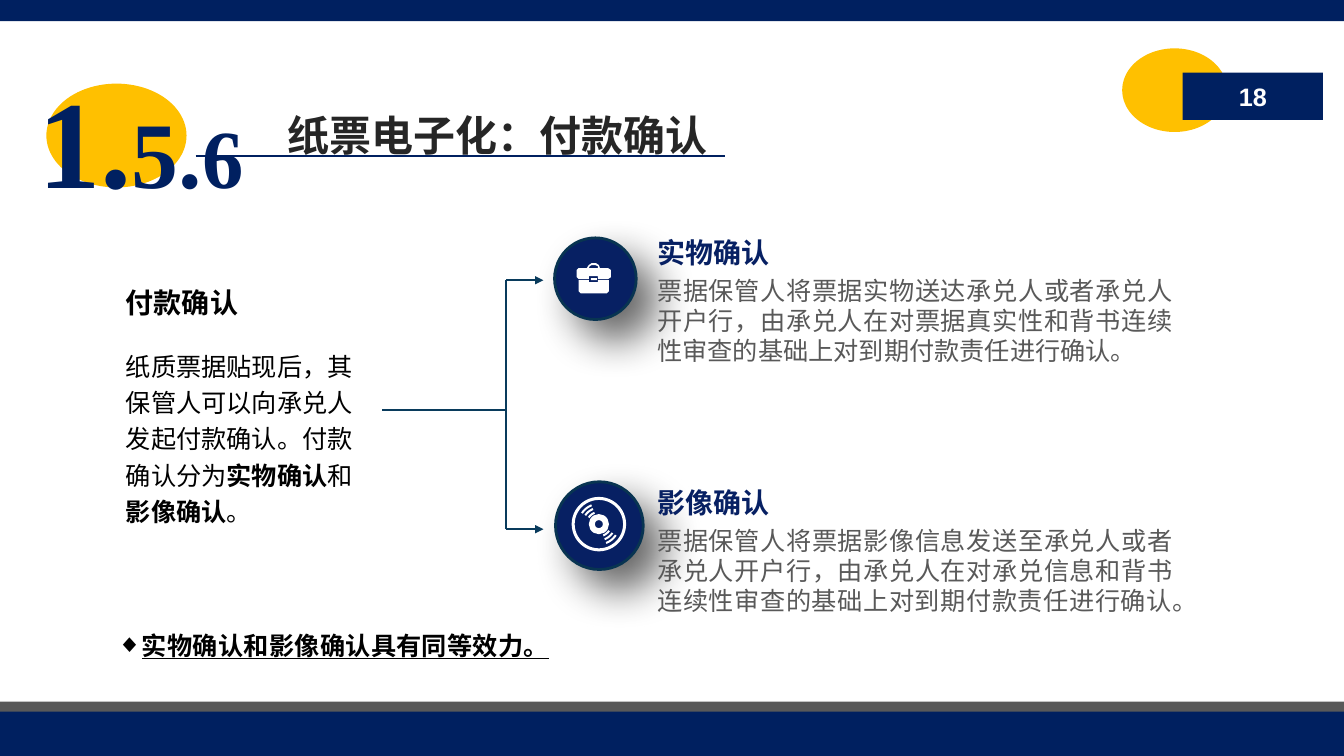
from math import cos, radians, sin

from lxml import etree
from pptx import Presentation
from pptx.dml.color import RGBColor
from pptx.enum.shapes import MSO_CONNECTOR, MSO_SHAPE
from pptx.enum.text import MSO_ANCHOR, MSO_AUTO_SIZE, PP_ALIGN
from pptx.oxml.ns import qn
from pptx.util import Inches, Pt

RECTANGLE, OVAL, DONUT = MSO_SHAPE.RECTANGLE, MSO_SHAPE.OVAL, MSO_SHAPE.DONUT
STRAIGHT = MSO_CONNECTOR.STRAIGHT
TOP, MIDDLE = MSO_ANCHOR.TOP, MSO_ANCHOR.MIDDLE
LEFT, CENTER, JUSTIFY = PP_ALIGN.LEFT, PP_ALIGN.CENTER, PP_ALIGN.JUSTIFY
FIXED_SIZE = MSO_AUTO_SIZE.NONE

CJK, SANS, SERIF = "Noto Sans CJK SC", "Arial", "Times New Roman"
NAVY, DEEP_BLUE, GOLD, GRAY = "002060", "072063", "FFC000", "595959"
WHITE, BLACK, INK, TEAL, RIM = "FFFFFF", "000000", "262626", "093B5C", "083451"


def color(value):
    return RGBColor.from_string(value)


class SlideBuilder:
    """Draws styled elements on the current slide."""

    def __init__(self, slide):
        self.slide = slide

    def paint(self, shape, fill):
        shape.shadow.inherit = False
        shape.fill.solid()
        shape.fill.fore_color.rgb = color(fill)
        shape.line.fill.background()
        return shape

    def shape(self, kind, left, top, width, height, fill):
        box = [Inches(value) for value in (left, top, width, height)]
        return self.paint(self.slide.shapes.add_shape(kind, *box), fill)

    def ring(self, center, radius, thickness):
        x, y = center
        ring = self.shape(DONUT, x - radius, y - radius, 2 * radius, 2 * radius, WHITE)
        ring.adjustments[0] = thickness / (2 * radius)

    def badge(self, left, top, size):
        badge = self.shape(OVAL, left, top, size, size, DEEP_BLUE)
        badge.line.color.rgb = color(RIM)
        badge.line.width = Pt(2)
        effects = badge._element.spPr.find(qn("a:effectLst"))
        shadow = etree.SubElement(effects, qn("a:outerShdw"), blurRad=str(Pt(30)),
                                  dist=str(Pt(20)), dir="2700000", algn="ctr", rotWithShape="0")
        tint = etree.SubElement(shadow, qn("a:srgbClr"), val=BLACK)
        etree.SubElement(tint, qn("a:alpha"), val="60000")

    def outline(self, *contours):
        points = [[(Inches(x), Inches(y)) for x, y in contour] for contour in contours]
        builder = self.slide.shapes.build_freeform(*points[0][0])
        builder.add_line_segments(points[0][1:], close=True)
        for contour in points[1:]:
            builder.move_to(*contour[0])
            builder.add_line_segments(contour[1:], close=True)
        self.paint(builder.convert_to_shape(), WHITE)

    def line(self, start, end, stroke=TEAL, arrow=False):
        ends = [Inches(value) for value in (*start, *end)]
        connector = self.slide.shapes.add_connector(STRAIGHT, *ends)
        connector.line.color.rgb = color(stroke)
        connector.line.width = Pt(1.5)
        properties = connector._element.spPr
        if arrow:
            etree.SubElement(properties.find(qn("a:ln")), qn("a:tailEnd"), type="triangle")
        etree.SubElement(properties, qn("a:effectLst"))

    def fill_text(self, shape, runs, fill, font=CJK, anchor=TOP, align=LEFT, spacing=None):
        frame = shape.text_frame
        frame.word_wrap = True
        frame.auto_size = FIXED_SIZE
        frame.vertical_anchor = anchor
        paragraph = frame.paragraphs[0]
        paragraph.alignment = align
        paragraph.space_before = Pt(0)
        if spacing:
            paragraph.line_spacing = Pt(spacing)
        for text, size, bold in runs:
            run = paragraph.add_run()
            run.text = text
            run.font.size = Pt(size)
            run.font.bold = bold
            run.font.color.rgb = color(fill)
            run.font.name = font
            etree.SubElement(run.font._element, qn("a:ea"), typeface=font)
        return paragraph

    def text(self, left, top, width, height, runs, fill, **style):
        box = [Inches(value) for value in (left, top, width, height)]
        self.fill_text(self.slide.shapes.add_textbox(*box), runs, fill, **style)

    def placeholder(self, index, left, top, width, height, runs, fill, **style):
        shape = self.slide.placeholders[index]
        shape.left, shape.top = Inches(left), Inches(top)
        shape.width, shape.height = Inches(width), Inches(height)
        return self.fill_text(shape, runs, fill, **style)

    def note(self, text):
        paragraph = self.placeholder(1, 1.06, 6.2, 4.6, 0.4, [(text, 18, True)], BLACK,
                                     align=JUSTIFY, spacing=21.5)
        properties = paragraph._p.get_or_add_pPr()
        properties.set("marL", str(Inches(0.24)))
        properties.set("indent", str(-Inches(0.24)))
        etree.SubElement(properties, qn("a:buChar"), char="◆")
        for run in paragraph.runs:
            run.font.underline = True
            run.font._element.set("spc", "20")

    def briefcase(self):
        self.outline([(5.74, 2.78), (5.84, 2.78), (5.84, 2.8), (5.93, 2.8), (5.93, 2.78),
                      (6.04, 2.78), (6.04, 2.89), (6.02, 2.91), (5.76, 2.91), (5.74, 2.89)])
        self.outline([(5.72, 2.68), (5.74, 2.66), (5.82, 2.66), (5.84, 2.63), (5.87, 2.61),
                      (5.91, 2.61), (5.94, 2.63), (5.95, 2.66), (6.03, 2.66), (6.06, 2.68),
                      (6.06, 2.75), (6.03, 2.77), (5.93, 2.77), (5.93, 2.74), (5.84, 2.74),
                      (5.84, 2.77), (5.74, 2.77), (5.72, 2.75)],
                     [(5.84, 2.66), (5.93, 2.66), (5.93, 2.64), (5.9, 2.63), (5.87, 2.63),
                      (5.85, 2.64)])
        self.shape(RECTANGLE, 5.86, 2.76, 0.06, 0.02, WHITE)

    def disc(self, center):
        self.ring(center, 0.27, 0.03)
        self.ring(center, 0.1, 0.06)
        for radius in (0.13, 0.17, 0.21):
            for start in (33, 213):
                sweep = range(start, start + 37, 4)
                edges = [(radius, angle) for angle in sweep]
                edges += [(radius - 0.02, angle) for angle in reversed(sweep)]
                self.outline([(center[0] + reach * cos(radians(angle)),
                               center[1] + reach * sin(radians(angle)))
                              for reach, angle in edges])


def main():
    presentation = Presentation()
    presentation.slide_width, presentation.slide_height = Inches(13.33), Inches(7.5)
    slide = presentation.slides.add_slide(presentation.slide_layouts[1])
    page = SlideBuilder(slide)

    page.shape(RECTANGLE, 0, 0, 13.33, 0.21, NAVY)
    page.shape(RECTANGLE, 0, 6.98, 13.33, 0.52, NAVY)
    page.shape(RECTANGLE, 0, 6.96, 13.33, 0.1, GRAY)

    page.shape(OVAL, 0.46, 0.83, 1.39, 1.03, GOLD)
    page.placeholder(0, 2.75, 1.04, 7.17, 0.61, [("纸票电子化：付款确认", 30, True)], INK,
                     spacing=36)
    page.line((1.94, 1.55), (7.19, 1.55), NAVY)
    page.text(0.28, 0.58, 2.52, 1.62, [("1.", 89, True), ("5.", 67, True), ("6", 59, True)],
              NAVY, font=SERIF)
    page.shape(OVAL, 11.13, 0.48, 1.04, 0.83, GOLD)
    number = page.shape(RECTANGLE, 11.73, 0.72, 1.39, 0.47, NAVY)
    page.fill_text(number, [("18", 18, True)], WHITE, font=SANS, anchor=MIDDLE, align=CENTER)

    page.text(1.15, 2.71, 2.28, 0.58, [("付款确认", 20, True)], BLACK, anchor=MIDDLE, spacing=24)
    page.text(1.15, 3.38, 2.63, 1.92, [
        ("纸质票据贴现后，其保管人可以向承兑人发起付款确认。付款确认分为", 18, False),
        ("实物确认", 18, True), ("和", 18, False), ("影像确认", 18, True), ("。", 18, False),
    ], BLACK, spacing=25.8)

    page.line((3.79, 4.07), (5.02, 4.07))
    page.line((5.02, 5.25), (5.02, 2.78))
    confirmations = [
        (2.78, 2.27, "实物确认", "票据保管人将票据实物送达承兑人或者承兑人开户行，"
         "由承兑人在对票据真实性和背书连续性审查的基础上对到期付款责任进行确认。"),
        (5.25, 4.75, "影像确认", "票据保管人将票据影像信息发送至承兑人或者承兑人开户行，"
         "由承兑人在对承兑信息和背书连续性审查的基础上对到期付款责任进行确认。"),
    ]
    page.badge(5.5, 2.36, 0.81)
    page.briefcase()
    page.badge(5.51, 4.78, 0.87)
    page.disc((5.94, 5.2))
    for arrow_y, top, heading, detail in confirmations:
        page.line((5.02, arrow_y), (5.39, arrow_y), arrow=True)
        page.text(6.42, top + 0.02, 2.62, 0.44, [(heading, 20, True)], DEEP_BLUE, spacing=24)
        page.text(6.42, top + 0.41, 5.31, 1.01, [(detail, 18, False)], GRAY,
                  align=JUSTIFY, spacing=21.5)

    page.note("实物确认和影像确认具有同等效力。")
    presentation.save("out.pptx")


if __name__ == "__main__":
    main()
